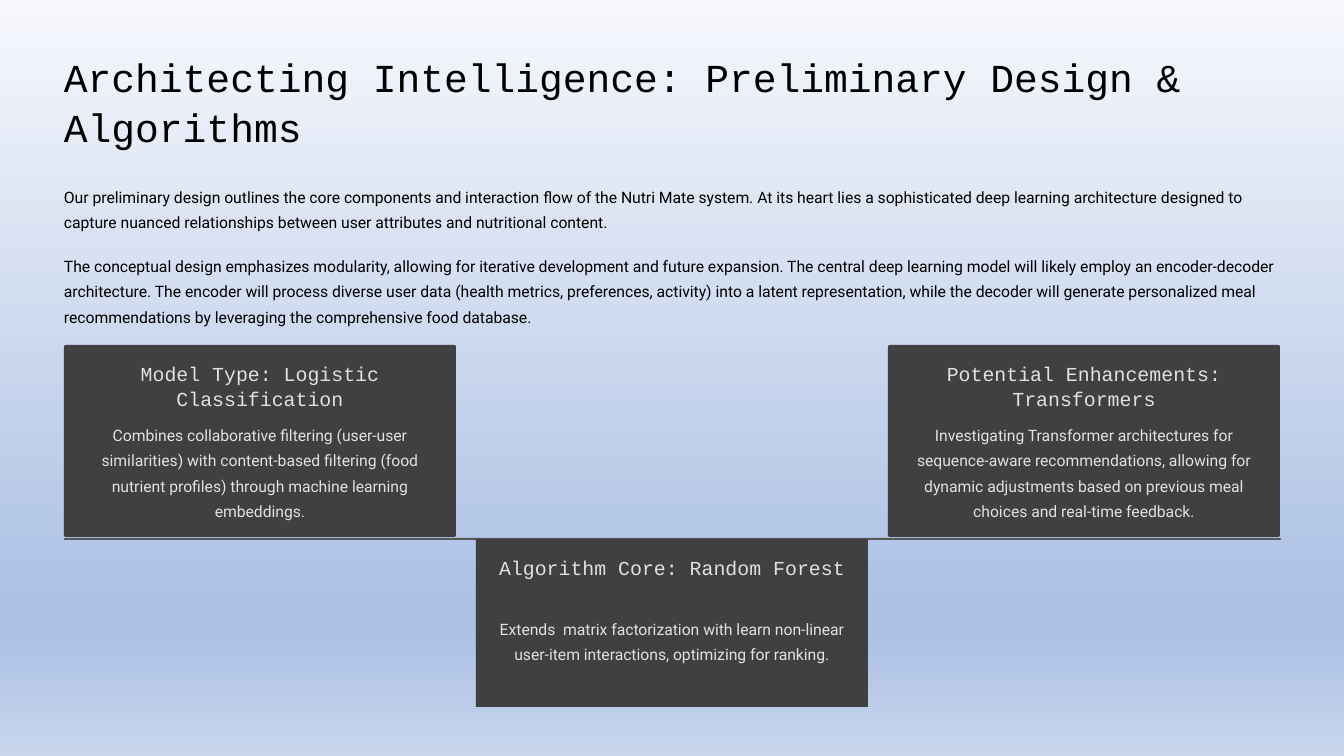
from lxml.etree import SubElement
from pptx import Presentation
from pptx.dml.color import RGBColor
from pptx.enum.shapes import MSO_SHAPE
from pptx.enum.text import MSO_ANCHOR, MSO_AUTO_SIZE, PP_ALIGN
from pptx.oxml.ns import qn
from pptx.util import Emu, Pt

PX = 914400 / 84
COLORS = {"text": "000000", "card": "404040", "line": "595959", "light": "E5E0DF"}
BACKGROUND = [(0, "F6F8FC"), (81, "ABC0E4"), (83, "ABC0E4"), (100, "C7D5ED")]
HEAD, BODY = "Courier New", "Roboto"
LEFT, WIDTH = 64, 1217
CARD_W, CARD_STEP, PAD = 392, 412, 16

PARAGRAPHS = [
    (182, 50, "Our preliminary design outlines the core components and interaction flow "
     "of the Nutri Mate system. At its heart lies a sophisticated deep learning "
     "architecture designed to capture nuanced relationships between user attributes "
     "and nutritional content."),
    (251, 76, "The conceptual design emphasizes modularity, allowing for iterative "
     "development and future expansion. The central deep learning model will likely "
     "employ an encoder-decoder architecture. The encoder will process diverse user "
     "data (health metrics, preferences, activity) into a latent representation, while "
     "the decoder will generate personalized meal recommendations by leveraging the "
     "comprehensive food database."),
]
# top, height, shape, heading, description
CARDS = [
    (345, 192, MSO_SHAPE.ROUNDED_RECTANGLE, "Model Type: Logistic Classification",
     "Combines collaborative filtering (user-user similarities) with content-based "
     "filtering (food nutrient profiles) through machine learning embeddings."),
    (539, 168, MSO_SHAPE.RECTANGLE, "Algorithm Core: Random Forest",
     "Extends  matrix factorization with learn non-linear user-item interactions, "
     "optimizing for ranking."),
    (345, 192, MSO_SHAPE.ROUNDED_RECTANGLE, "Potential Enhancements: Transformers",
     "Investigating Transformer architectures for sequence-aware recommendations, "
     "allowing for dynamic adjustments based on previous meal choices and real-time "
     "feedback."),
]


def px(n):
    return Emu(round(n * PX))


def box(x, y, w, h):
    return px(x), px(y), px(w), px(h)


def set_background(s):
    fill = s.background.fill
    fill.gradient()
    fill.gradient_angle = 270
    stops = s.element.find(".//" + qn("a:gsLst"))
    for gs in list(stops):
        stops.remove(gs)
    for pos, color in BACKGROUND:
        gs = SubElement(stops, qn("a:gs"), pos=str(pos * 1000))
        SubElement(gs, qn("a:srgbClr"), val=color)


def write(tf, text, font, size, spacing, color="text", align=PP_ALIGN.LEFT):
    tf.word_wrap = True
    tf.auto_size = MSO_AUTO_SIZE.NONE
    tf.vertical_anchor = MSO_ANCHOR.TOP
    tf.margin_left = tf.margin_top = tf.margin_right = tf.margin_bottom = 0
    p = tf.paragraphs[0]
    p.alignment = align
    p.line_spacing = Pt(spacing)
    p.space_before = Pt(0)
    r = p.add_run()
    r.text = text
    r.font.name = font
    r.font.size = Pt(size)
    r.font.color.rgb = RGBColor.from_string(COLORS[color])


def add_title(s, text):
    sp = s.shapes.title
    sp.left, sp.top, sp.width, sp.height = box(LEFT, 51, WIDTH, 99)
    write(sp.text_frame, text, HEAD, 34, 42.5)


def add_text(s, x, y, w, h, text, *style):
    write(s.shapes.add_textbox(*box(x, y, w, h)).text_frame, text, *style)


def add_block(s, kind, x, y, w, h, color, radius=0.0):
    sp = s.shapes.add_shape(kind, *box(x, y, w, h))
    sp.shadow.inherit = False
    sp.fill.solid()
    sp.fill.fore_color.rgb = RGBColor.from_string(COLORS[color])
    sp.line.fill.background()
    if kind == MSO_SHAPE.ROUNDED_RECTANGLE:
        sp.adjustments[0] = radius


def add_card(s, x, y, h, kind, heading, description):
    add_block(s, kind, x, y, CARD_W, h, "card", 0.01)
    inner = CARD_W - 2 * PAD
    add_text(s, x + PAD, y + PAD, inner, 50, heading,
             HEAD, 17, 21, "light", PP_ALIGN.CENTER)
    add_text(s, x + PAD, y + 75, inner, h - 75 - PAD, description,
             BODY, 13.5, 21.5, "light", PP_ALIGN.CENTER)


def main():
    prs = Presentation()
    prs.slide_width, prs.slide_height = px(1344), px(756)
    s = prs.slides.add_slide(prs.slide_layouts[5])
    set_background(s)

    # Title and introduction
    add_title(s, "Architecting Intelligence: Preliminary Design & Algorithms")
    for y, h, text in PARAGRAPHS:
        add_text(s, LEFT, y, WIDTH, h, text, BODY, 13.5, 21.5)

    # Timeline with cards above and below
    add_block(s, MSO_SHAPE.ROUNDED_RECTANGLE, LEFT, 538, WIDTH, 2, "line", 0.5)
    for i, (y, h, kind, heading, description) in enumerate(CARDS):
        add_card(s, LEFT + i * CARD_STEP, y, h, kind, heading, description)

    prs.save("out.pptx")


if __name__ == "__main__":
    main()
